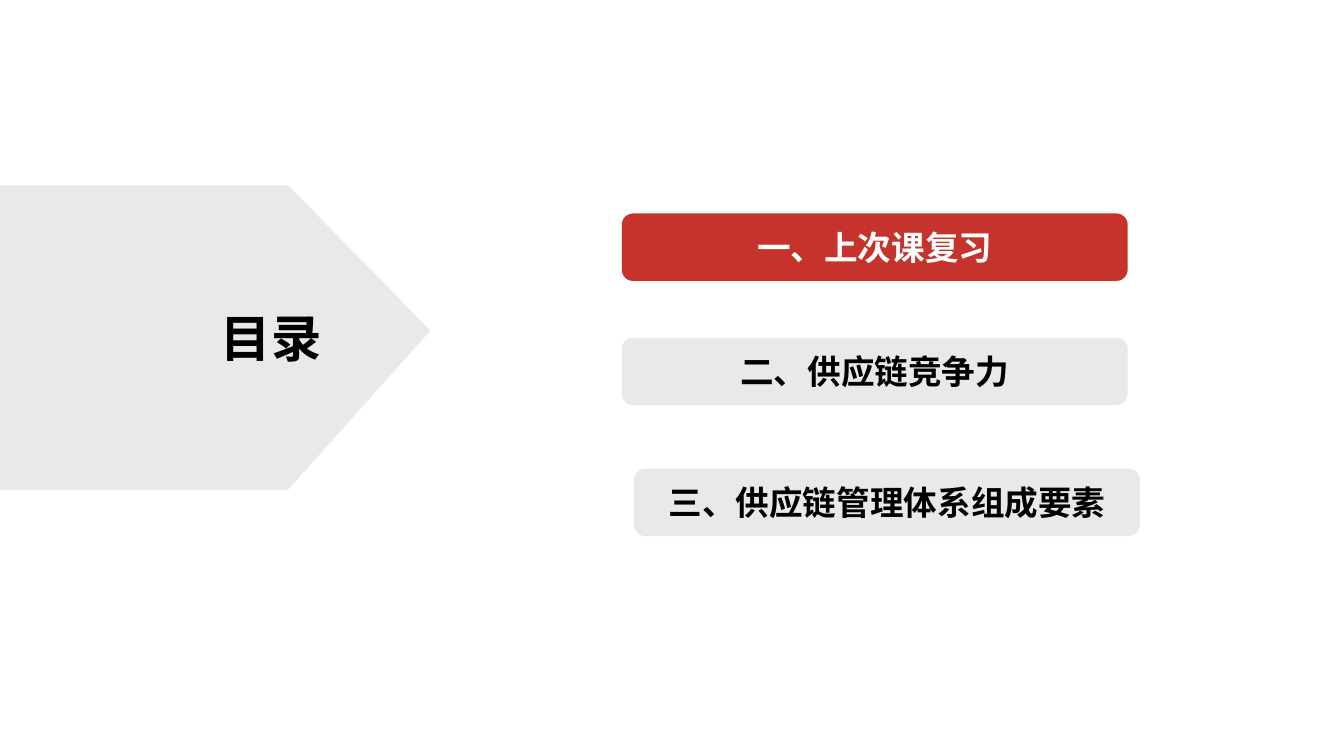
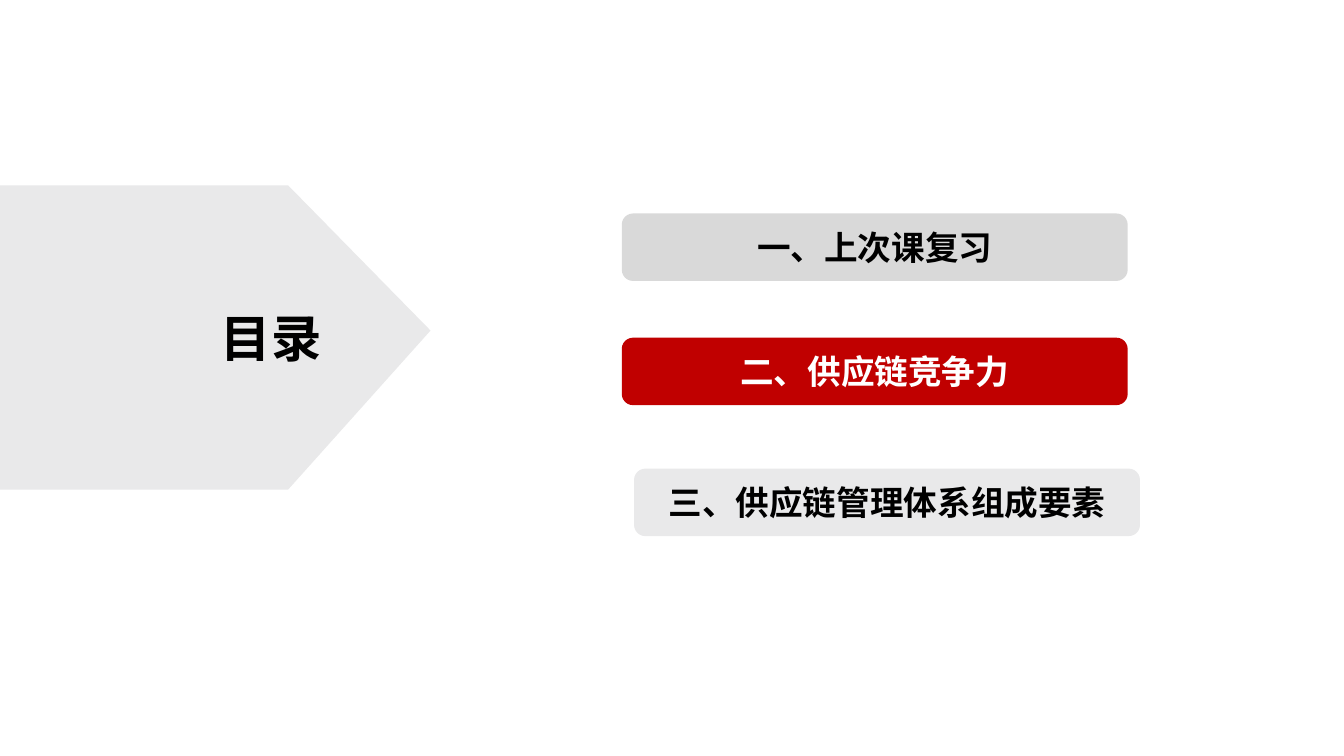
"""Build two agenda slides that highlight the current section."""
import dataclasses

import lxml.etree
import pptx
import pptx.dml.color
import pptx.enum.shapes
import pptx.enum.text
import pptx.oxml.ns
import pptx.util

Cm = pptx.util.Cm


@dataclasses.dataclass(frozen=True)
class Theme:
    font: str = "Noto Sans CJK SC"
    title_size: int = 36
    entry_size: int = 24
    dark: str = "000000"
    light: str = "FFFFFF"
    panel: str = "E9E9EA"
    visited: str = "D9D9D9"
    review_accent: str = "C5332C"
    topic_accent: str = "C00000"


THEME = Theme()
TITLE_ONLY_LAYOUT = 5
ENTRY_WIDTH, ENTRY_HEIGHT = 12.75, 1.7
ENTRIES = [
    ("一、上次课复习", 15.67, 5.38),
    ("二、供应链竞争力", 15.67, 8.51),
    ("三、供应链管理体系组成要素", 15.98, 11.81),
]
ARROW_POINTS = [(0, 4.67), (7.26, 4.67), (10.85, 8.33), (7.26, 12.34), (0, 12.34)]


def paint(shape, color):
    shape.shadow.inherit = False
    shape.fill.solid()
    shape.fill.fore_color.rgb = pptx.dml.color.RGBColor.from_string(color)
    shape.line.fill.background()


def write(frame, text, size, color, alignment):
    para = frame.paragraphs[0]
    para.alignment = alignment
    span = para.add_run()
    span.text = text
    span.font.name = THEME.font
    span.font.size = pptx.util.Pt(size)
    span.font.bold = True
    span.font.color.rgb = pptx.dml.color.RGBColor.from_string(color)
    east_asian = lxml.etree.Element(pptx.oxml.ns.qn("a:ea"), typeface=THEME.font)
    span.font._element.find(pptx.oxml.ns.qn("a:latin")).addnext(east_asian)


def add_arrow(slide):
    points = [(Cm(x), Cm(y)) for x, y in ARROW_POINTS]
    builder = slide.shapes.build_freeform(*points[0])
    builder.add_line_segments(points[1:], close=True)
    paint(builder.convert_to_shape(), THEME.panel)


def add_title(slide, text):
    title = slide.shapes.title
    title.left, title.top = Cm(5.31), Cm(7.62)
    title.width, title.height = Cm(3.07), Cm(1.8)
    frame = title.text_frame
    frame.word_wrap = False
    frame.auto_size = pptx.enum.text.MSO_AUTO_SIZE.SHAPE_TO_FIT_TEXT
    frame.vertical_anchor = pptx.enum.text.MSO_ANCHOR.TOP
    write(frame, text, THEME.title_size, THEME.dark, pptx.enum.text.PP_ALIGN.LEFT)
    slide.shapes._spTree.append(title._element)


def add_entry(slide, text, left, top, fill, color):
    box = slide.shapes.add_shape(
        pptx.enum.shapes.MSO_SHAPE.ROUNDED_RECTANGLE,
        Cm(left), Cm(top), Cm(ENTRY_WIDTH), Cm(ENTRY_HEIGHT))
    paint(box, fill)
    box.text_frame.vertical_anchor = pptx.enum.text.MSO_ANCHOR.MIDDLE
    write(box.text_frame, text, THEME.entry_size, color, pptx.enum.text.PP_ALIGN.CENTER)


def add_agenda(deck, current, accent):
    slide = deck.slides.add_slide(deck.slide_layouts[TITLE_ONLY_LAYOUT])
    add_arrow(slide)
    add_title(slide, "目录")
    for index, (text, left, top) in enumerate(ENTRIES):
        if index == current:
            fill, color = accent, THEME.light
        else:
            fill = THEME.visited if index < current else THEME.panel
            color = THEME.dark
        add_entry(slide, text, left, top, fill, color)


def main():
    deck = pptx.Presentation()
    deck.slide_width, deck.slide_height = Cm(33.87), Cm(19.05)
    for current, accent in enumerate([THEME.review_accent, THEME.topic_accent]):
        add_agenda(deck, current, accent)
    deck.save("out.pptx")


if __name__ == "__main__":
    main()
